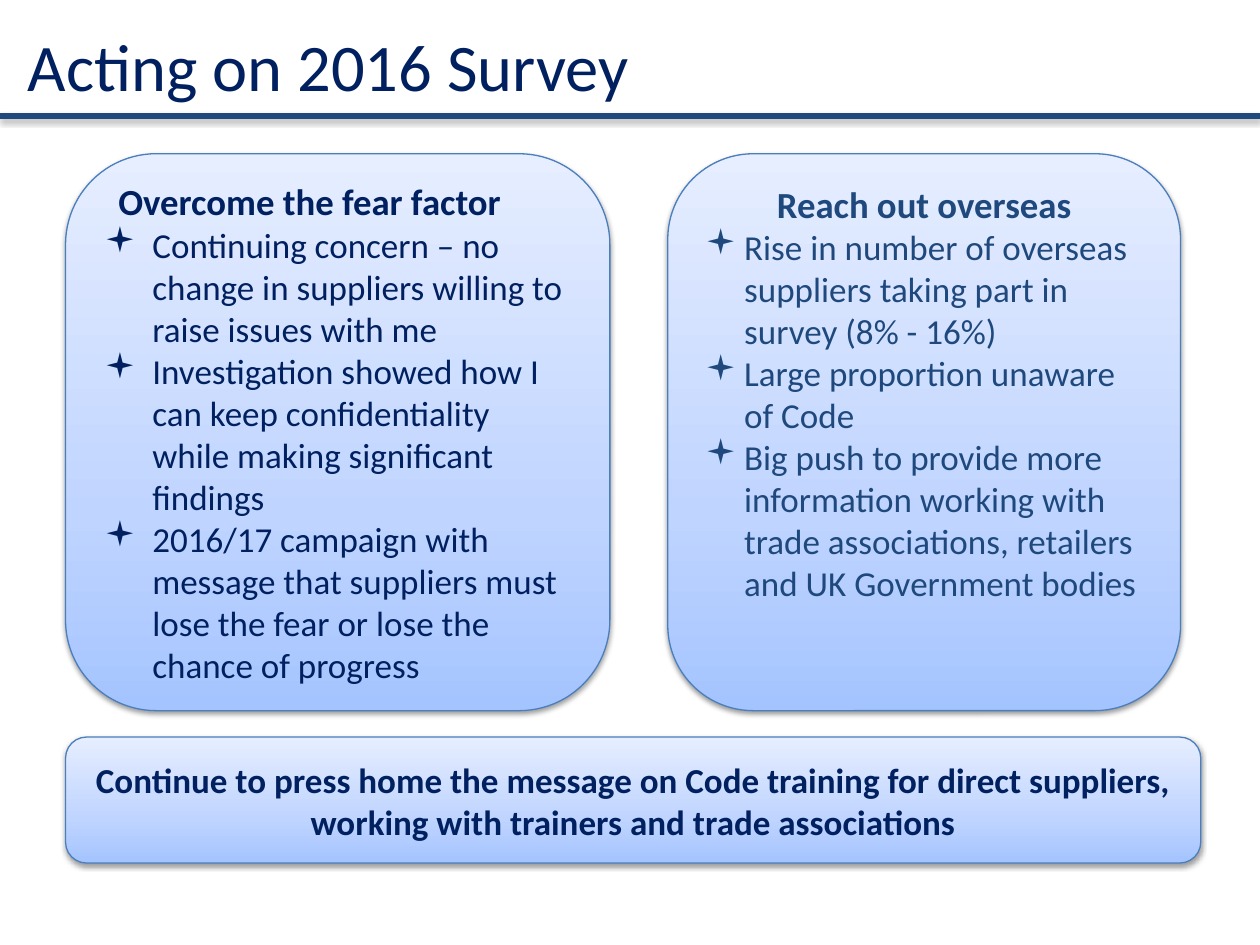
from lxml import etree
from pptx import Presentation
from pptx.dml.color import RGBColor
from pptx.enum.shapes import MSO_CONNECTOR, MSO_SHAPE
from pptx.enum.text import MSO_ANCHOR, PP_ALIGN
from pptx.oxml.ns import qn
from pptx.util import Inches, Pt

ROUND = MSO_SHAPE.ROUNDED_RECTANGLE
TOP, MIDDLE = MSO_ANCHOR.TOP, MSO_ANCHOR.MIDDLE
LEFT, CENTER = PP_ALIGN.LEFT, PP_ALIGN.CENTER
NAVY, BLUE, EDGE = "002060", "1F497D", "4B7EBC"
GRADIENT = [(0, "A4C4FF"), (35, "BFD4FF"), (100, "E6EEFF")]

TITLE = "Acting on 2016 Survey"
CARDS = [
    dict(box=(0.52, 1.22, 4.32, 4.42), color=NAVY, anchor=MIDDLE,
         align=LEFT, head_indent=0.11, hang=0.38, inset=0.05,
         heading="Overcome the fear factor",
         bullets=[
             "Continuing concern – no change in suppliers willing to raise issues with me",
             "Investigation showed how I can keep confidentiality while making significant findings",
             "2016/17 campaign with message that suppliers must lose the fear or lose the chance of progress",
         ]),
    dict(box=(5.3, 1.22, 4.07, 4.42), color=BLUE, anchor=TOP,
         align=CENTER, head_indent=0, hang=0.31, inset=0.02,
         heading="Reach out overseas",
         bullets=[
             "Rise in number of overseas suppliers taking part in survey (8% - 16%)",
             "Large proportion unaware of Code",
             "Big push to provide more information working with trade associations, retailers and UK Government bodies",
         ]),
]
MESSAGE_BOX = (0.52, 5.85, 9.01, 1)
MESSAGE = ("Continue to press home the message on Code training for direct suppliers, "
           "working with trainers and trade associations")


def rgb(value):
    return RGBColor.from_string(value)


def child(parent, tag, **attrs):
    el = etree.SubElement(parent, qn(tag))
    for name, value in attrs.items():
        el.set(name, str(value))
    return el


def add_shadow(s, alpha, dist):
    effects = child(s._element.spPr, "a:effectLst")
    shadow = child(effects, "a:outerShdw", blurRad=Pt(3.1), dist=Pt(dist),
                   dir=90 * 60000, rotWithShape=0)
    color = child(shadow, "a:srgbClr", val="000000")
    child(color, "a:alpha", val=alpha * 1000)


def fill_gradient(s):
    s.fill.gradient()
    s.fill.gradient_angle = 90
    stops = s._element.spPr.find(qn("a:gradFill")).find(qn("a:gsLst"))
    for stop in list(stops):
        stops.remove(stop)
    for pos, color in GRADIENT:
        child(child(stops, "a:gs", pos=pos * 1000), "a:srgbClr", val=color)


def write(p, text, size, color, bold=False, align=LEFT):
    p.text = text
    p.alignment = align
    p.font.name = "Calibri"
    p.font.size = Pt(size)
    p.font.bold = bold
    p.font.color.rgb = rgb(color)


def add_panel(slide, box, anchor=MIDDLE):
    s = slide.shapes.add_shape(ROUND, *map(Inches, box))
    fill_gradient(s)
    s.line.color.rgb = rgb(EDGE)
    s.line.width = Pt(0.75)
    add_shadow(s, 38, 1.6)
    s.text_frame.word_wrap = True
    s.text_frame.vertical_anchor = anchor
    return s.text_frame


def add_card(slide, card):
    tf = add_panel(slide, card["box"], card["anchor"])
    tf.margin_top = Inches(card["inset"])
    p = tf.paragraphs[0]
    p._p.get_or_add_pPr().set("marL", str(Inches(card["head_indent"])))
    write(p, card["heading"], 21, card["color"], True, card["align"])
    for text in card["bullets"]:
        p = tf.add_paragraph()
        pPr = p._p.get_or_add_pPr()
        hang = Inches(card["hang"])
        pPr.set("marL", str(hang))
        pPr.set("indent", str(-hang))
        child(pPr, "a:buFont", typeface="Wingdings")
        child(pPr, "a:buChar", char="▪")
        write(p, text, 20, card["color"])


prs = Presentation()
prs.slide_width, prs.slide_height = Inches(10), Inches(7.5)
slide = prs.slides.add_slide(prs.slide_layouts[6])

title = slide.shapes.add_textbox(Inches(0), Inches(-0.11), Inches(10.67), Inches(1.25))
tf = title.text_frame
tf.word_wrap = True
tf.vertical_anchor = MIDDLE
tf.margin_left = Inches(0.22)
write(tf.paragraphs[0], TITLE, 38, NAVY)

rule = slide.shapes.add_connector(MSO_CONNECTOR.STRAIGHT, Inches(0), Inches(0.92),
                                  Inches(10), Inches(0.92))
rule.line.color.rgb = rgb(BLUE)
rule.line.width = Pt(3)
add_shadow(rule, 35, 1.8)

for card in CARDS:
    add_card(slide, card)
message = add_panel(slide, MESSAGE_BOX)
write(message.paragraphs[0], MESSAGE, 20, NAVY, True, CENTER)

prs.save("out.pptx")
